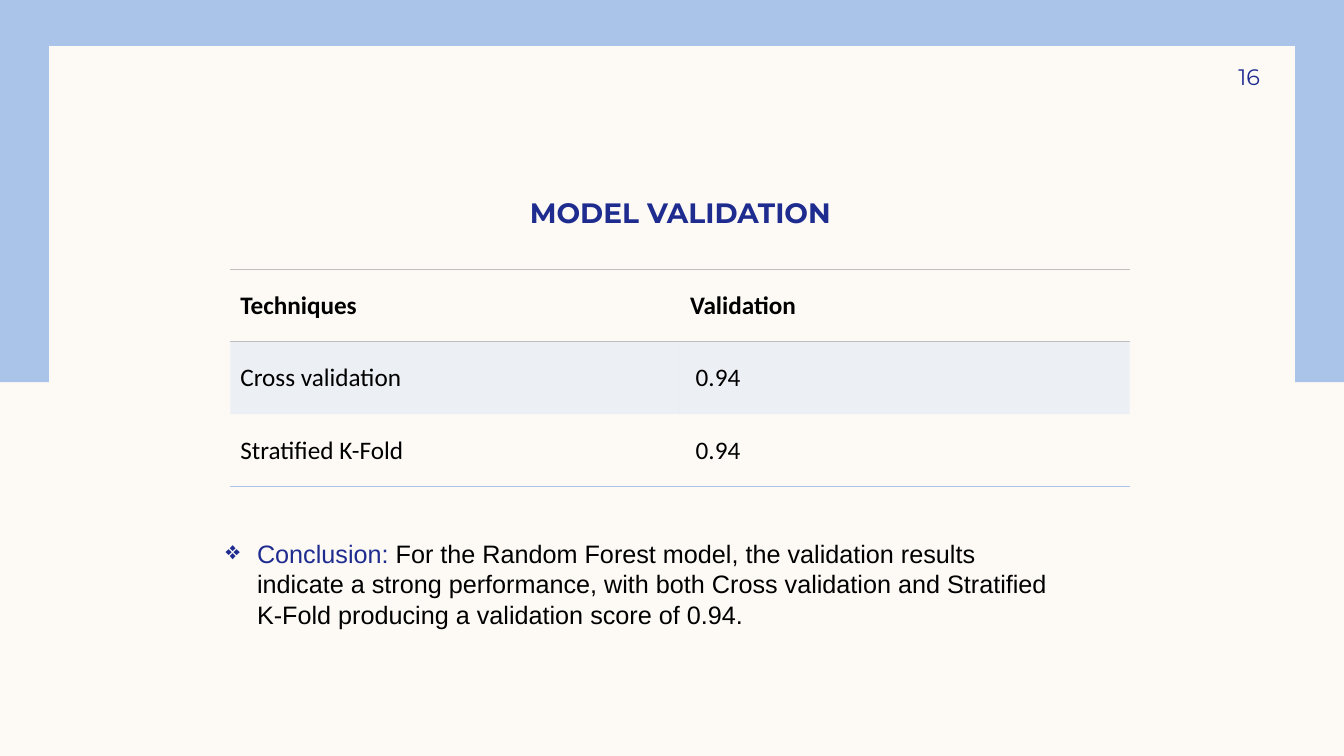
from lxml import etree
from pptx import Presentation
from pptx.dml.color import RGBColor
from pptx.enum.shapes import MSO_SHAPE
from pptx.enum.text import MSO_ANCHOR, PP_ALIGN
from pptx.oxml.ns import qn
from pptx.util import Pt

RECTANGLE = MSO_SHAPE.RECTANGLE
TOP, MIDDLE, BOTTOM = MSO_ANCHOR.TOP, MSO_ANCHOR.MIDDLE, MSO_ANCHOR.BOTTOM
LEFT, CENTER, RIGHT = PP_ALIGN.LEFT, PP_ALIGN.CENTER, PP_ALIGN.RIGHT

SLIDE_WIDTH, SLIDE_HEIGHT = 960, 540
CREAM, SKY, NAVY, BLACK, GREY = "FDFAF6", "AAC3E8", "1F2C8F", "000000", "BFBFBF"

TABLE_ROWS = [
    ("Techniques", "Validation"),
    ("Cross validation", " 0.94"),
    ("Stratified K-Fold", " 0.94"),
]
ROW_EDGES = [GREY, GREY, None, SKY]  # horizontal rules, top to bottom


def color(hex_string):
    return RGBColor.from_string(hex_string)


def format_run(run, font, size, hex_string, bold=False):
    run.font.name = font
    run.font.size = Pt(size)
    run.font.bold = bold
    run.font.color.rgb = color(hex_string)


def add_text_box(slide, box, anchor, alignment, insets=(7.2, 3.6, 7.2, 3.6)):
    """Add an empty text box and return its first paragraph."""
    frame = slide.shapes.add_textbox(*map(Pt, box)).text_frame
    frame.word_wrap = True
    frame.vertical_anchor = anchor
    (frame.margin_left, frame.margin_top,
     frame.margin_right, frame.margin_bottom) = map(Pt, insets)
    paragraph = frame.paragraphs[0]
    paragraph.alignment = alignment
    return paragraph


def add_panel(slide, box, fill):
    panel = slide.shapes.add_shape(RECTANGLE, *map(Pt, box))
    panel.shadow.inherit = False
    panel.fill.solid()
    panel.fill.fore_color.rgb = color(fill)
    panel.line.fill.background()


def add_frame(slide, box):
    """Blue band over the upper half with a cream page laid on it."""
    left, top, width, height = box
    add_panel(slide, (left - 2, top, width + 4, height / 2 + 3), SKY)
    add_panel(slide, (left + 35, top + 33, width - 70, height - 66), CREAM)


def add_title(slide, box):
    paragraph = add_text_box(slide, box, BOTTOM, CENTER, (7.2, 0, 7.2, 0))
    paragraph.text = "MODEL VALIDATION"
    format_run(paragraph.runs[0], "Montserrat", 20, NAVY, bold=True)


def add_page_number(slide, box):
    paragraph = add_text_box(slide, box, MIDDLE, RIGHT, (7.2, 3.6, 0, 3.6))
    paragraph.text = "16"
    format_run(paragraph.runs[0], "Montserrat", 16, NAVY)


def set_cell_borders(cell, top, bottom):
    properties = cell._tc.get_or_add_tcPr()
    edges = {"a:lnL": None, "a:lnR": None, "a:lnT": top, "a:lnB": bottom}
    for tag, hex_string in edges.items():
        line = etree.SubElement(properties, qn(tag), w=str(Pt(1)))
        if hex_string:
            fill = etree.SubElement(line, qn("a:solidFill"))
            etree.SubElement(fill, qn("a:srgbClr"), val=hex_string)
        else:
            etree.SubElement(line, qn("a:noFill"))


def fill_cell(cell, shaded):
    if not shaded:
        cell.fill.background()
        return
    cell.fill.solid()
    cell.fill.fore_color.rgb = color(SKY)
    fill_color = cell._tc.tcPr.find(qn("a:solidFill")).find(qn("a:srgbClr"))
    etree.SubElement(fill_color, qn("a:alpha"), val="20000")


def add_score_table(slide, box):
    row_count, column_count = len(TABLE_ROWS), len(TABLE_ROWS[0])
    table = slide.shapes.add_table(row_count, column_count, *map(Pt, box)).table
    table.horz_banding = False
    for row_index, texts in enumerate(TABLE_ROWS):
        for column_index, text in enumerate(texts):
            cell = table.cell(row_index, column_index)
            cell.text = text
            cell.vertical_anchor = MIDDLE
            run = cell.text_frame.paragraphs[0].runs[0]
            format_run(run, "Calibri", 18, BLACK, bold=row_index == 0)
            set_cell_borders(cell, *ROW_EDGES[row_index:row_index + 2])
            fill_cell(cell, shaded=row_index == 1)


def add_conclusion(slide, box):
    paragraph = add_text_box(slide, box, TOP, LEFT)
    paragraph.text = "Conclusion: "
    format_run(paragraph.runs[0], "Arial", 18, NAVY)
    statement = paragraph.add_run()
    statement.text = (
        "For the Random Forest model, the validation results indicate a strong "
        "performance, with both Cross validation and Stratified K-Fold producing "
        "a validation score of 0.94."
    )
    format_run(statement, "Arial", 18, BLACK)

    # Hanging bullet
    properties = paragraph._p.get_or_add_pPr()
    properties.set("marL", str(Pt(22.5)))
    properties.set("indent", str(Pt(-22.5)))
    etree.SubElement(properties, qn("a:buChar"), char="❖")


def build_validation_slide(presentation):
    slide = presentation.slides.add_slide(presentation.slide_layouts[6])
    slide.background.fill.solid()
    slide.background.fill.fore_color.rgb = color(CREAM)
    add_frame(slide, (0, 0, SLIDE_WIDTH, SLIDE_HEIGHT))
    add_title(slide, (72, 83.5, 828, 80))
    add_score_table(slide, (164.5, 192.25, 642.5, 155.5))
    add_page_number(slide, (816, 36, 84, 37.5))
    add_conclusion(slide, (154, 381, 613.5, 72.7))


def main():
    presentation = Presentation()
    presentation.slide_width = Pt(SLIDE_WIDTH)
    presentation.slide_height = Pt(SLIDE_HEIGHT)
    build_validation_slide(presentation)
    presentation.save("out.pptx")


if __name__ == "__main__":
    main()
